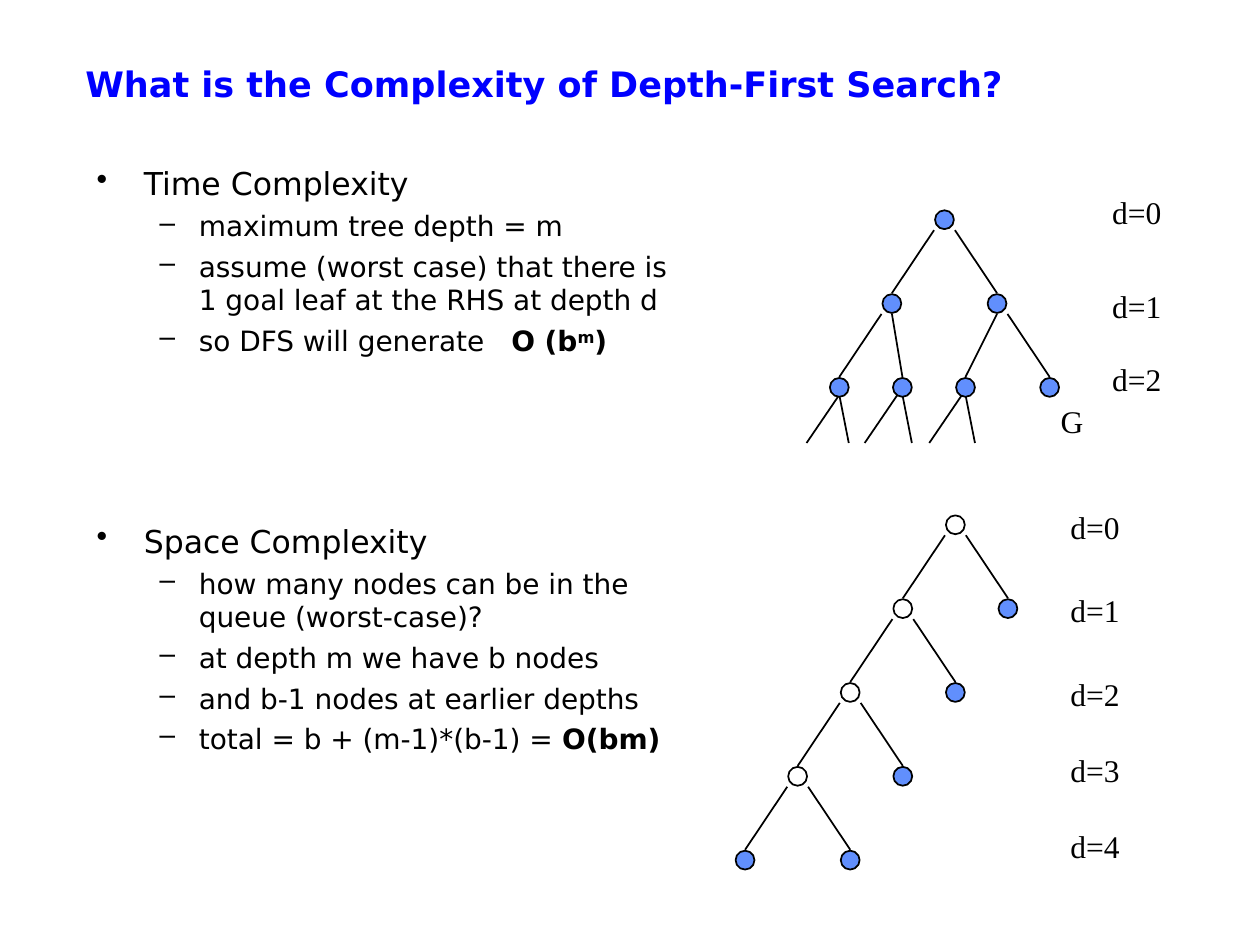
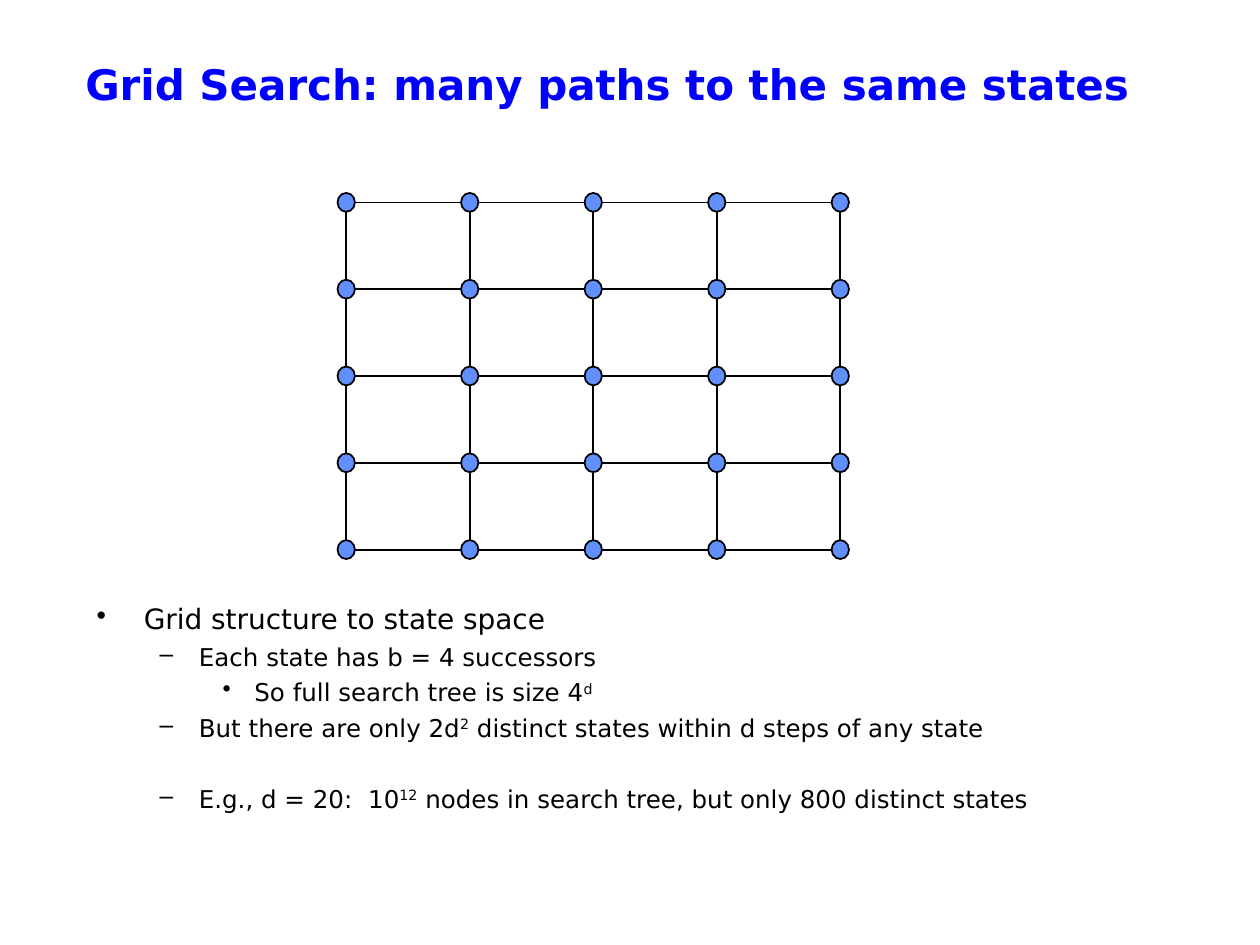
from dataclasses import dataclass
from itertools import product

from lxml import etree
from pptx import Presentation
from pptx.dml.color import RGBColor
from pptx.enum.shapes import MSO_CONNECTOR, MSO_SHAPE
from pptx.enum.text import MSO_ANCHOR
from pptx.oxml.ns import qn
from pptx.util import Cm, Pt

STRAIGHT = MSO_CONNECTOR.STRAIGHT
OVAL = MSO_SHAPE.OVAL
MIDDLE = MSO_ANCHOR.MIDDLE
TOP = MSO_ANCHOR.TOP


@dataclass(frozen=True)
class Theme:
    """Colours, fonts and type sizes of the deck."""

    blue: RGBColor = RGBColor(0x00, 0x00, 0xFF)
    node: RGBColor = RGBColor(0x61, 0x8F, 0xFD)
    ink: RGBColor = RGBColor(0x00, 0x00, 0x00)
    sans: str = "DejaVu Sans"
    serif: str = "Times New Roman"
    label: int = 18
    line: float = 1


THEME = Theme()
LEVELS = [("•", 0.95, -0.95), ("–", 2.06, -0.79), ("•", 3.18, -0.64)]
BOLD = {"b": "1"}
RAISED = {"baseline": "30000"}
WIDE = {"spc": "1020"}
LOOSE = {"spc": "445"}

TITLE_BOX = (1.47, 0.84, 21.59, 1.7)
STEP_X, STEP_Y = 1.06, 1.69
EDGE = 0.21

COSTS = [
    (0, 18, 0, ["Time Complexity"]),
    (1, 16, 4, ["maximum tree depth = m"]),
    (1, 16, 4, ["assume (worst case) that there is 1 goal leaf at the RHS at depth d"]),
    (1, 16, 4, ["so DFS will generate", (" ", WIDE), ("O (b", BOLD),
                ("m", BOLD | RAISED), (")", BOLD)]),
    (0, 18, 94, ["Space Complexity"]),
    (1, 16, 4, ["how many nodes can be in the queue (worst-case)?"]),
    (1, 16, 4, ["at depth m we have b nodes"]),
    (1, 16, 4, ["and b-1 nodes at earlier depths"]),
    (1, 16, 4, ["total = b + (m-1)*(b-1) = ", ("O(bm)", BOLD)]),
]
STATES = [
    (0, 16, 0, ["Grid structure to state space"]),
    (1, 14, 3.5, ["Each state has b = 4 successors"]),
    (2, 14, 3.5, ["So full search tree is size 4", ("d", RAISED)]),
    (1, 14, 3.5, ["But there are only 2d", ("2", RAISED),
                  " distinct states within d steps of any state"]),
    (1, 14, 23.8, ["E.g., d = 20:", (" ", LOOSE), "10", ("12", RAISED),
                   " nodes in search tree, but only 800 distinct states"]),
]


def set_font(par, name, size, color, bold=False):
    """Set the font of a whole paragraph."""
    par.font.name = name
    par.font.size = Pt(size)
    par.font.color.rgb = color
    par.font.bold = bold


def add_frame(slide, box, wrap=True, anchor=TOP):
    """Add an empty text box and return its frame."""
    frame = slide.shapes.add_textbox(*map(Cm, box)).text_frame
    frame.word_wrap = wrap
    frame.vertical_anchor = anchor
    return frame


def add_title(slide, text, size):
    """Add the bold blue title."""
    par = add_frame(slide, TITLE_BOX, anchor=MIDDLE).paragraphs[0]
    par.text = text
    set_font(par, THEME.sans, size, THEME.blue, True)


def add_label(slide, left, top, text):
    """Add a short serif label."""
    par = add_frame(slide, (left, top, 1.5, 1.02), wrap=False).paragraphs[0]
    par.text = text
    set_font(par, THEME.serif, THEME.label, THEME.ink)


def set_bullet(par, level):
    """Give a paragraph the mark and indent of its level."""
    mark, margin, indent = LEVELS[level]
    props = par._p.get_or_add_pPr()
    props.set("marL", str(Cm(margin)))
    props.set("indent", str(Cm(indent)))
    color = etree.SubElement(props, qn("a:buClr"))
    etree.SubElement(color, qn("a:srgbClr"), val=str(THEME.ink))
    etree.SubElement(props, qn("a:buChar"), char=mark)
    par.level = level


def add_body(slide, box, items):
    """Add a bulleted list of (level, size, space before, runs)."""
    frame = add_frame(slide, box)
    for index, (level, size, gap, parts) in enumerate(items):
        par = frame.add_paragraph() if index else frame.paragraphs[0]
        set_bullet(par, level)
        par.space_before = Pt(gap)
        set_font(par, THEME.sans, size, THEME.ink)
        for part in parts:
            text, style = (part, {}) if isinstance(part, str) else part
            run = par.add_run()
            run.text = text
            for key, value in style.items():
                run._r.get_or_add_rPr().set(key, value)


def add_line(slide, *ends):
    """Draw a thin line between two points."""
    line = slide.shapes.add_connector(STRAIGHT, *map(Cm, ends))
    line.line.color.rgb = THEME.ink
    line.line.width = Pt(THEME.line)
    etree.SubElement(line._element.spPr, qn("a:effectLst"))


def add_node(slide, x, y, full=True, width=0.38):
    """Draw a node around its centre."""
    node = slide.shapes.add_shape(
        OVAL, Cm(x - width / 2), Cm(y - 0.19), Cm(width), Cm(0.38))
    node.shadow.inherit = False
    if full:
        node.fill.solid()
        node.fill.fore_color.rgb = THEME.node
    else:
        node.fill.background()
    node.line.color.rgb = THEME.ink
    node.line.width = Pt(THEME.line)


def add_tree(slide, root, nodes, edges):
    """Draw nodes (col, row, full) and edges (col, row, child col, side)."""
    left, top = root
    for col, row, child, side in edges:
        x, y = left + col * STEP_X, top + row * STEP_Y
        add_line(slide, x + side * EDGE, y + EDGE,
                 left + child * STEP_X, y + STEP_Y - EDGE)
    for col, row, full in nodes:
        add_node(slide, left + col * STEP_X, top + row * STEP_Y, full)


def add_time(slide, root):
    """Draw the full tree with cut-off branches and goal G."""
    left, top = root
    leaves = [-2, -0.8, 0.4, 2]
    nodes = [(0, 0, True), (-1, 1, True), (1, 1, True)]
    nodes += [(leaf, 2, True) for leaf in leaves]
    edges = [(0, 0, -1, -1), (0, 0, 1, 1), (-1, 1, -2, -1),
             (-1, 1, -0.8, 0), (1, 1, 0.4, 0), (1, 1, 2, 1)]
    y = top + 2 * STEP_Y + 0.15
    for leaf, shift in zip(leaves, (0, -0.1, -0.07)):
        x = left + leaf * STEP_X
        add_line(slide, x + shift, y, x + shift - 0.66, y + 0.97)
        add_line(slide, x, y, x + 0.19, y + 0.97)
    add_tree(slide, root, nodes, edges)
    for depth, drop in enumerate((-0.67, 1.23, 2.71)):
        add_label(slide, left + 3.13, top + drop, f"d={depth}")
    add_label(slide, left + 2.09, top + 3.55, "G")


def add_space(slide, root):
    """Draw the left-going chain with its queued nodes."""
    left, top = root
    nodes, edges = [(-4, 4, True)], []
    for row in range(4):
        nodes += [(-row, row, False), (1 - row, row + 1, True)]
        edges += [(-row, row, side - row, side) for side in (-1, 1)]
    add_tree(slide, root, nodes, edges)
    for depth, drop in enumerate((-0.47, 1.21, 2.91, 4.43, 5.96)):
        add_label(slide, left + 2.07, top + drop, f"d={depth}")


def add_grid(slide, box, count=5):
    """Draw a square lattice of nodes that fills the box."""
    left, top, width, height = box
    xs = [left + width * i / (count - 1) for i in range(count)]
    ys = [top + height * i / (count - 1) for i in range(count)]
    for x in xs:
        add_line(slide, x, top, x, top + height)
    for y in ys:
        add_line(slide, left, y, left + width, y)
    for x, y in product(xs, ys):
        add_node(slide, x, y, width=0.35)


def add_costs(slide):
    """Fill the slide on time and space costs."""
    add_title(slide, "What is the Complexity of Depth-First Search?", 20)
    add_body(slide, (1.7, 3.18, 12.5, 15.44), COSTS)
    add_time(slide, (19.04, 4.43))
    add_space(slide, (19.26, 10.58))


def add_states(slide):
    """Fill the slide on grid search."""
    add_title(slide, "Grid Search: many paths to the same states", 24)
    add_grid(slide, (6.98, 4.08, 9.96, 7))
    add_body(slide, (1.7, 12.01, 21.79, 5.13), STATES)


def main():
    """Build and save the deck."""
    deck = Presentation()
    deck.slide_width, deck.slide_height = Cm(25.4), Cm(19.05)
    for fill in (add_costs, add_states):
        fill(deck.slides.add_slide(deck.slide_layouts[6]))
    deck.save("out.pptx")


if __name__ == "__main__":
    main()
